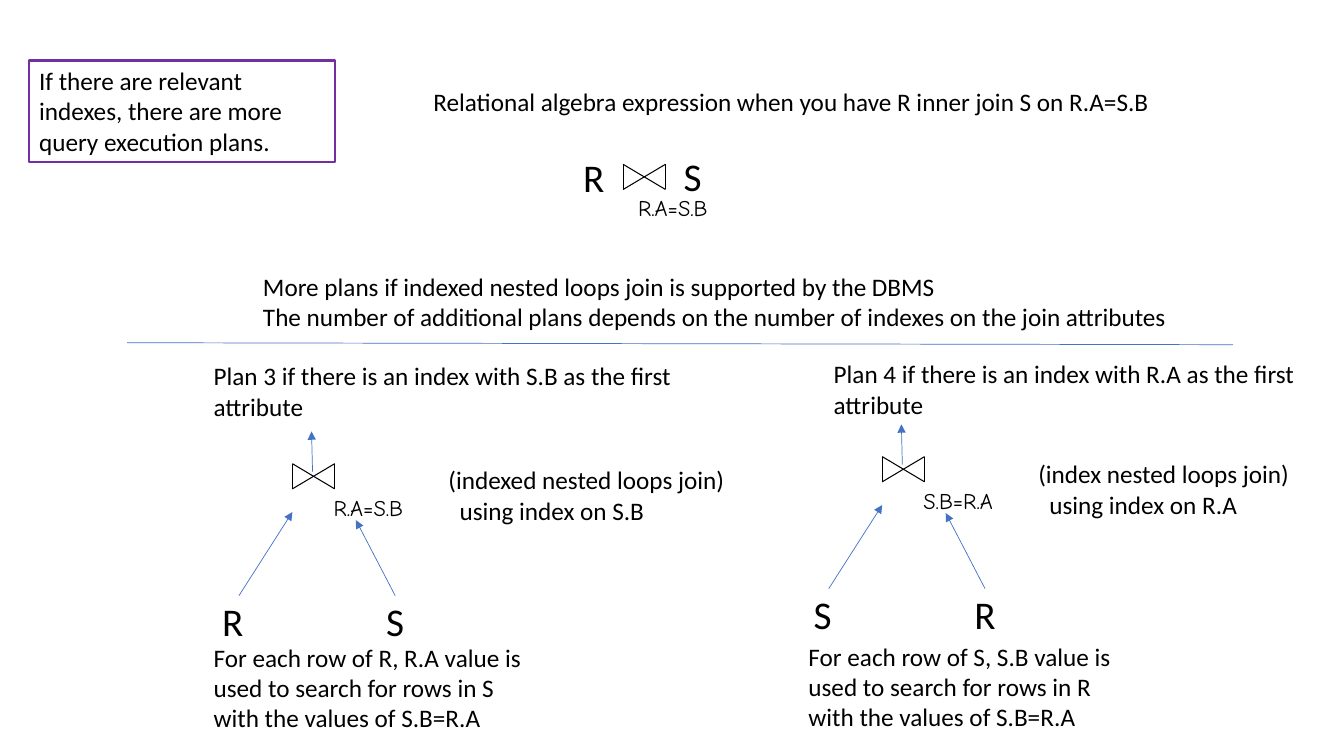
"""Build the slide on query plans that use indexes for an inner join."""
from lxml.etree import SubElement
from pptx import Presentation
from pptx.dml.color import RGBColor
from pptx.enum.shapes import MSO_CONNECTOR, MSO_SHAPE
from pptx.enum.text import MSO_ANCHOR, MSO_AUTO_SIZE, PP_ALIGN
from pptx.oxml.ns import qn
from pptx.util import Inches, Pt

BLACK, BLUE, PURPLE = "000000", "4472C4", "7030A0"
BODY, HAND = "Calibri", "Comic Neue"

HINT = "If there are relevant indexes, there are more query execution plans."
HEAD = "Relational algebra expression when you have R inner join S on R.A=S.B"
MORE = ["More plans if indexed nested loops join is supported by the DBMS",
        "The number of additional plans depends on the number of indexes on the join attributes"]
PLANS = [
    dict(shift=(0, 0), leaves="RS", cond="R.A=S.B",
         name="Plan 3 if there is an index with S.B as the first attribute",
         name_at=(2.02, 3.53, 4.85, 0.71),
         note=["(indexed nested loops join)", "using index on S.B"],
         note_at=(4.35, 4.56, 3.04, 0.71),
         steps="For each row of R, R.A value is used to search for rows in S with the values of S.B=R.A",
         steps_at=(2.02, 6.32, 3.42, 1.01)),
    dict(shift=(5.85, -0.07), leaves="SR", cond="S.B=R.A",
         name="Plan 4 if there is an index with R.A as the first attribute",
         name_at=(8.17, 3.51, 4.91, 0.71),
         note=["(index nested loops join)", "using index on R.A"],
         note_at=(10.2, 4.5, 2.77, 0.71),
         steps="For each row of S, S.B value is used to search for rows in R with the values of S.B=R.A",
         steps_at=(7.92, 6.31, 3.4, 1.01)),
]
ARROWS = [(2.37, 5.91, 2.9, 5.08), (3.92, 5.91, 3.53, 5.16), (3.1, 4.68, 3.09, 4.28)]
LEAVES = [(1.98, 5.88), (3.59, 5.88)]


def color(code):
    return RGBColor.from_string(code)


def write(shape, lines, size=18, font=BODY, align=PP_ALIGN.LEFT, wrap=True, indent=0):
    frame = shape.text_frame
    frame.word_wrap = wrap
    frame.auto_size = MSO_AUTO_SIZE.SHAPE_TO_FIT_TEXT
    for i, line in enumerate(lines):
        para = frame.paragraphs[0] if i == 0 else frame.add_paragraph()
        para.alignment = align
        if i and indent:
            para._p.get_or_add_pPr().set("marL", str(Inches(indent)))
        run = para.add_run()
        run.text = line
        run.font.size = Pt(size)
        run.font.name = font
        run.font.color.rgb = color(BLACK)


def text(at, *lines, **style):
    write(slide.shapes.add_textbox(*map(Inches, at)), lines, **style)


def line(shapes, ends, code, width, arrow=False):
    link = shapes.add_connector(MSO_CONNECTOR.STRAIGHT, *map(Inches, ends))
    link.line.color.rgb = color(code)
    link.line.width = Pt(width)
    if arrow:
        SubElement(link.line._get_or_add_ln(), qn("a:tailEnd"), type="triangle")
    SubElement(link._element.spPr, qn("a:effectLst"))


def bowtie(x, y):
    group = slide.shapes.add_group_shape().shapes
    right, low = x + 0.42, y + 0.25
    for ends in [(x, y, right, low), (x, low, right, y), (x, y, x, low), (right, y, right, low)]:
        line(group, ends, BLACK, 0.75)


def leaf(x, y, name):
    text((x, y, 0.66, 0.57), name, size=28, align=PP_ALIGN.CENTER)


def label(x, y, cond):
    text((x, y, 1.03, 0.37), cond, size=16, font=HAND, wrap=False)


def tree(plan):
    dx, dy = plan["shift"]
    for (x, y), name in zip(LEAVES, plan["leaves"]):
        leaf(x + dx, y + dy, name)
    for x1, y1, x2, y2 in ARROWS:
        line(slide.shapes, (x1 + dx, y1 + dy, x2 + dx, y2 + dy), BLUE, 0.5, True)
    bowtie(2.9 + dx, 4.6 + dy)
    label(3.21 + dx, 4.85 + dy, plan["cond"])
    text(plan["name_at"], plan["name"])
    text(plan["note_at"], *plan["note"], indent=0.11)
    text(plan["steps_at"], plan["steps"])


deck = Presentation()
deck.slide_width, deck.slide_height = Inches(13.33), Inches(7.5)
slide = deck.slides.add_slide(deck.slide_layouts[6])

box = slide.shapes.add_shape(MSO_SHAPE.RECTANGLE, *map(Inches, (0.29, 0.6, 3.03, 1.01)))
box.shadow.inherit = False
box.fill.background()
box.line.color.rgb = color(PURPLE)
box.line.width = Pt(1.5)
box.text_frame.vertical_anchor = MSO_ANCHOR.TOP
write(box, [HINT])

text((4.2, 0.81, 7.38, 0.4), HEAD, wrap=False)
leaf(5.56, 1.47, "R")
bowtie(6.18, 1.63)
leaf(6.54, 1.46, "S")
label(6.23, 1.88, "R.A=S.B")
text((2.51, 2.64, 9.95, 0.71), *MORE)
line(slide.shapes, (1.26, 3.4, 12.23, 3.42), BLUE, 0.5)
for plan in PLANS:
    tree(plan)

deck.save("out.pptx")
